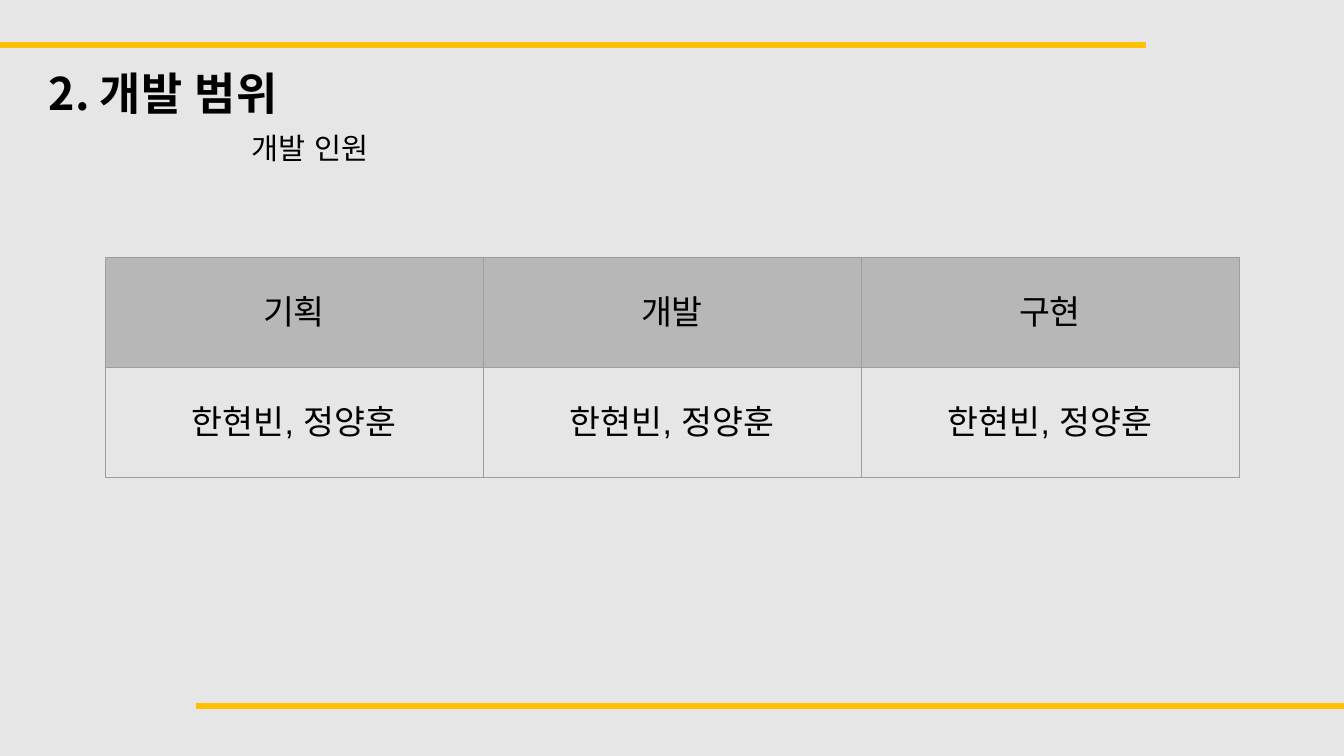
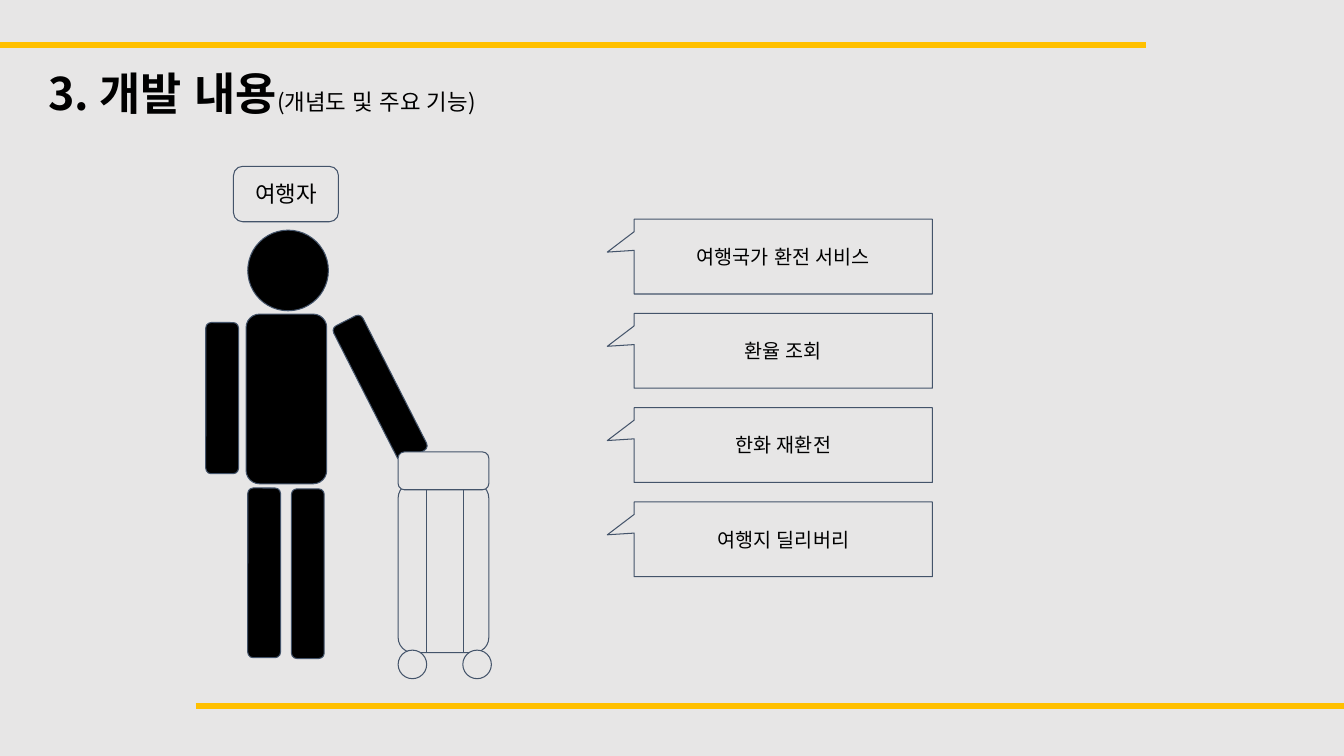
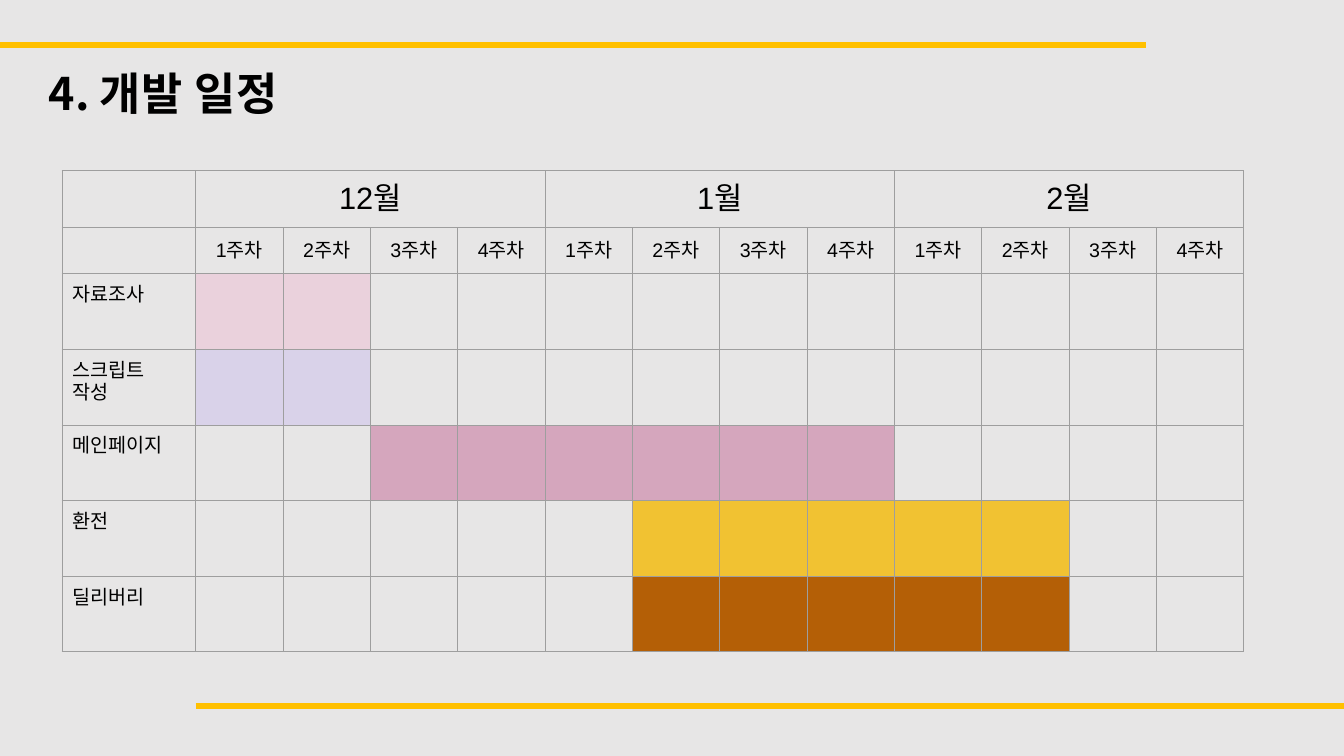
from dataclasses import dataclass

import pptx
import pptx.dml.color
import pptx.enum.lang
import pptx.enum.shapes
import pptx.enum.text
import pptx.oxml.ns
import pptx.util
from lxml import etree

SHAPE = pptx.enum.shapes.MSO_SHAPE
ALIGN = pptx.enum.text.PP_ALIGN
ANCHOR = pptx.enum.text.MSO_ANCHOR
qn = pptx.oxml.ns.qn


@dataclass(frozen=True)
class Theme:
    paper: str = "E7E6E6"
    ink: str = "000000"
    accent: str = "FFC000"
    outline: str = "44546A"
    border: str = "9E9E9E"
    header: str = "B7B7B7"
    sans: str = "Noto Sans CJK KR"
    table_font: str = "Arial"
    title: int = 32
    team: int = 24
    month: int = 22
    subtitle: int = 21
    label: int = 16
    small: int = 14
    rule: float = 4.25
    hairline: float = 0.75


THEME = Theme()
COLUMNS, ROWS = 160, 90
CELL = pptx.util.Inches(1 / 12)


def grid(*lengths):
    """Turn grid columns or rows into slide lengths."""
    return [round(length * CELL) for length in lengths]


def rgb(value):
    return pptx.dml.color.RGBColor.from_string(value)


def apply(target, formats):
    for attribute, value in formats.items():
        setattr(target, attribute, value)


def paint(target, color):
    if color is None:
        target.fill.background()
    else:
        target.fill.solid()
        target.fill.fore_color.rgb = rgb(color)


def write(frame, *runs, align=ALIGN.LEFT, font=THEME.sans):
    """Write (text, size, bold) runs as one paragraph."""
    paragraph = frame.paragraphs[0]
    paragraph.alignment = align
    for text, size, bold in runs:
        run = paragraph.add_run()
        run.text = text
        apply(run.font, {
            "size": pptx.util.Pt(size), "bold": bold, "name": font,
            "language_id": pptx.enum.lang.MSO_LANGUAGE_ID.KOREAN,
        })
        run.font.color.rgb = rgb(THEME.ink)
        etree.SubElement(run._r.get_or_add_rPr(), qn("a:ea"), typeface=font)


def add_line(slide, start, end, color=THEME.outline, width=THEME.hairline):
    line = slide.shapes.add_connector(
        pptx.enum.shapes.MSO_CONNECTOR.STRAIGHT, *grid(*start, *end))
    line.line.color.rgb = rgb(color)
    line.line.width = pptx.util.Pt(width)
    etree.SubElement(line._element.spPr, qn("a:effectLst"))


def add_text(slide, box, *runs):
    frame = slide.shapes.add_textbox(*grid(*box)).text_frame
    apply(frame, {
        "word_wrap": True,
        "auto_size": pptx.enum.text.MSO_AUTO_SIZE.SHAPE_TO_FIT_TEXT,
    })
    write(frame, *runs)


def add_figure(slide, kind, box, fill=THEME.paper, rotation=0):
    figure = slide.shapes.add_shape(kind, *grid(*box))
    figure.shadow.inherit = False
    figure.rotation = rotation
    paint(figure, fill)
    figure.line.color.rgb = rgb(THEME.outline)
    figure.line.width = pptx.util.Pt(THEME.hairline)
    return figure


def set_margins(target, names):
    apply(target, dict.fromkeys(names, pptx.util.Inches(0.1)))


def add_label(figure, text, size):
    frame = figure.text_frame
    set_margins(frame, ("margin_left", "margin_right", "margin_top", "margin_bottom"))
    apply(frame, {"word_wrap": True, "vertical_anchor": ANCHOR.MIDDLE})
    write(frame, (text, size, False), align=ALIGN.CENTER)


def add_borders(cell):
    properties = cell._tc.get_or_add_tcPr()
    for side in ("lnL", "lnR", "lnT", "lnB"):
        line = etree.SubElement(properties, qn(f"a:{side}"),
                                w=str(pptx.util.Pt(THEME.hairline)))
        fill = etree.SubElement(line, qn("a:solidFill"))
        etree.SubElement(fill, qn("a:srgbClr"), val=THEME.border)


def add_grid_table(slide, corner, widths, heights):
    """Add a bordered table without fills."""
    table = slide.shapes.add_table(
        len(heights), len(widths), *grid(*corner, sum(widths), sum(heights))).table
    apply(table, {"first_row": False, "horz_banding": False})
    for column, width in zip(table.columns, grid(*widths)):
        column.width = width
    for row, height in zip(table.rows, grid(*heights)):
        row.height = height
    for cell in table.iter_cells():
        set_margins(cell, ("margin_left", "margin_right", "margin_top", "margin_bottom"))
        add_borders(cell)
        paint(cell, None)
        etree.SubElement(cell.text_frame.paragraphs[0]._p, qn("a:endParaRPr"),
                         sz=str(THEME.small * 100))
    return table


def fill_cell(cell, text, size, align=ALIGN.CENTER, anchor=ANCHOR.MIDDLE):
    cell.vertical_anchor = anchor
    write(cell.text_frame, (text, size, False), align=align, font=THEME.table_font)


def add_page(deck, title, title_width, note=None):
    """Add a slide with both accent rules and its title."""
    slide = deck.slides.add_slide(deck.slide_layouts[6])
    paint(slide.background, THEME.paper)
    for start, end in (((23.3, 84.1), (COLUMNS, 84.1)), ((-0.2, 5.4), (136.4, 5.4))):
        add_line(slide, start, end, THEME.accent, THEME.rule)
    runs = [(title, THEME.title, True)]
    if note:
        runs.append((note, THEME.label, False))
    add_text(slide, (4.6, 7.2, title_width, 7.7), *runs)
    return slide


def build_scope(deck):
    slide = add_page(deck, "2. 개발 범위", 43.1)
    add_text(slide, (28.8, 14.9, 22.8, 5.4), ("개발 인원", THEME.subtitle, False))
    team = add_grid_table(slide, (12.5, 30.7), [45] * 3, [13.1] * 2)
    for column, role in enumerate(("기획", "개발", "구현")):
        paint(team.cell(0, column), THEME.header)
        fill_cell(team.cell(0, column), role, THEME.team)
        fill_cell(team.cell(1, column), "한현빈, 정양훈", THEME.team)


def draw_traveller(slide):
    add_figure(slide, SHAPE.OVAL, (29.5, 27.4, 9.6, 9.6), THEME.ink)
    limbs = (
        ((29.3, 37.4, 9.6, 20.2), 0),
        ((24.5, 38.4, 3.9, 18), 0),
        ((43.3, 37.2, 3.9, 18), 153),
        ((29.5, 58.1, 3.9, 20.2), 0),
        ((34.7, 58.2, 3.9, 20.2), 0),
    )
    for box, rotation in limbs:
        add_figure(slide, SHAPE.ROUNDED_RECTANGLE, box, THEME.ink, rotation)


def draw_suitcase(slide):
    left, top, width, height = 47.4, 57.5, 10.8, 20.2
    add_figure(slide, SHAPE.ROUNDED_RECTANGLE, (left, top, width, height))
    for x in (50.8, 55.2):
        add_line(slide, (x, top), (x, top + height))
    for x in (left, 55.1):
        add_figure(slide, SHAPE.OVAL, (x, 77.4, 3.4, 3.4))
    add_figure(slide, SHAPE.ROUNDED_RECTANGLE, (left, 53.8, width, 4.5))


def build_concept(deck):
    slide = add_page(deck, "3. 개발 내용", 61.9, "(개념도 및 주요 기능)")
    services = ("여행국가 환전 서비스", "환율 조회", "한화 재환전", "여행지 딜리버리")
    for index, service in enumerate(services):
        callout = add_figure(slide, SHAPE.ROUNDED_RECTANGULAR_CALLOUT,
                             (75.5, 26.1 + 11.22 * index, 35.5, 8.9))
        for handle, value in enumerate((-0.59, -0.06, 0)):
            callout.adjustments[handle] = value
        add_label(callout, service, THEME.small)
    draw_traveller(slide)
    draw_suitcase(slide)
    traveller = add_figure(slide, SHAPE.ROUNDED_RECTANGLE, (27.8, 19.8, 12.5, 6.6))
    add_label(traveller, "여행자", THEME.label)


def build_schedule(deck):
    slide = add_page(deck, "4. 개발 일정", 52)
    months, weeks = ("12월", "1월", "2월"), 4
    tasks = (  # name, first week, last week, colour
        ("자료조사", 1, 2, "EAD1DC"),
        ("스크립트 작성", 1, 2, "D9D2E9"),
        ("메인페이지", 3, 8, "D5A6BD"),
        ("환전", 6, 10, "F1C232"),
        ("딜리버리", 6, 10, "B45F06"),
    )
    plan = add_grid_table(slide, (7.4, 20.3), [15.9] + [10.4] * len(months) * weeks,
                          [6.4, 5.5] + [9] * len(tasks))
    for index, month in enumerate(months):
        first = 1 + index * weeks
        plan.cell(0, first).merge(plan.cell(0, first + weeks - 1))
        fill_cell(plan.cell(0, first), month, THEME.month)
        for week in range(weeks):
            fill_cell(plan.cell(1, first + week), f"{week + 1}주차", THEME.small)
    for row, (task, start, end, color) in enumerate(tasks, 2):
        fill_cell(plan.cell(row, 0), task, THEME.small, ALIGN.LEFT, ANCHOR.TOP)
        for week in range(start, end + 1):
            paint(plan.cell(row, week), color)


def main():
    deck = pptx.Presentation()
    deck.slide_width, deck.slide_height = grid(COLUMNS, ROWS)
    build_scope(deck)
    build_concept(deck)
    build_schedule(deck)
    deck.save("out.pptx")


if __name__ == "__main__":
    main()
